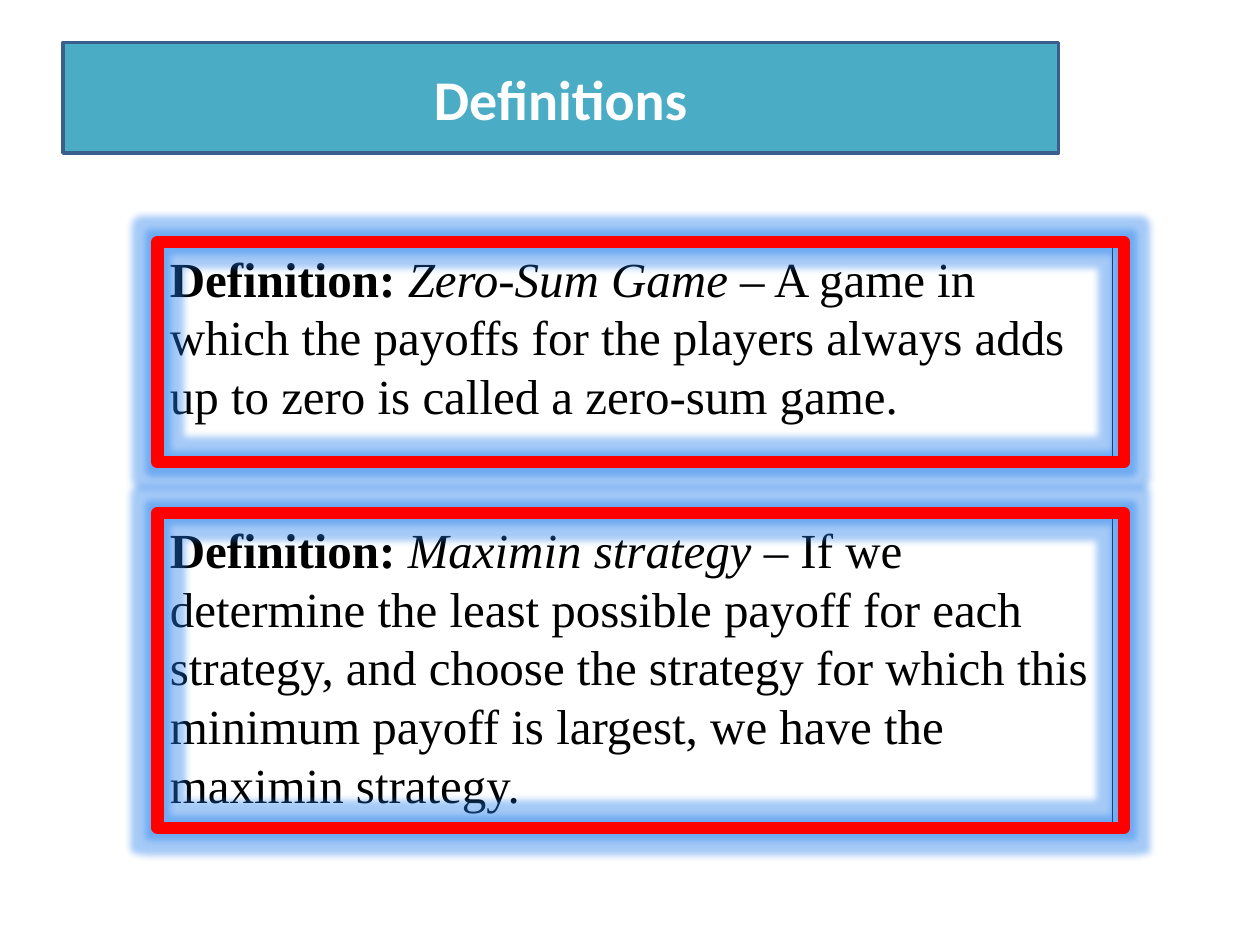
from dataclasses import dataclass

from lxml.etree import SubElement
from pptx import Presentation
from pptx.dml.color import RGBColor
from pptx.enum.shapes import MSO_SHAPE
from pptx.enum.text import MSO_ANCHOR, MSO_AUTO_SIZE, PP_ALIGN
from pptx.oxml.ns import qn
from pptx.util import Inches, Pt

WIDTH, HEIGHT = 10, 7.5
LEFT = 0.125  # shared left edge, as a share of the width
TEXT_W, FRAME_W = 0.758, 0.767


@dataclass
class Entry:
    term: str
    text: str
    top: float  # shares of the slide's height
    high: float


ENTRIES = [
    Entry("Zero-Sum Game", " – A game in which the payoffs for the players always "
          "adds up to zero is called a zero-sum game.", 0.256, 0.233),
    Entry("Maximin strategy ", "– If we determine the least possible payoff for each "
          "strategy, and choose the strategy for which this minimum payoff is "
          "largest, we have the maximin strategy.", 0.543, 0.333),
]


def color(code: str) -> RGBColor:
    return RGBColor.from_string(code)


def area(left: float, top: float, wide: float, high: float) -> tuple:
    """Turn shares of the slide into lengths."""
    return (Inches(left * WIDTH), Inches(top * HEIGHT),
            Inches(wide * WIDTH), Inches(high * HEIGHT))


def outline(shape, code: str, width: float) -> None:
    shape.line.color.rgb = color(code)
    shape.line.width = Pt(width)


def style(run, face: str, size: int, code: str) -> None:
    run.font.name, run.font.size = face, Pt(size)
    run.font.color.rgb = color(code)


def glow(shape, code: str, size: float, alpha: int) -> None:
    shape.shadow.inherit = False
    effects = shape._element.spPr.find(qn("a:effectLst"))
    halo = SubElement(effects, qn("a:glow"), rad=str(Pt(size)))
    tint = SubElement(halo, qn("a:srgbClr"), val=code)
    SubElement(tint, qn("a:alpha"), val=str(alpha * 1000))


def add_text(slide, entry: Entry) -> None:
    box = slide.shapes.add_textbox(*area(LEFT, entry.top, TEXT_W, entry.high))
    box.fill.solid()
    box.fill.fore_color.rgb = color("FFFFFF")
    outline(box, "000000", 0.75)
    frame = box.text_frame
    frame.word_wrap = True
    for text, bold, slant in (("Definition: ", True, False),
                              (entry.term, False, True),
                              (entry.text, False, False)):
        run = frame.paragraphs[0].add_run()
        run.text = text
        style(run, "Times New Roman", 28, "000000")
        run.font.bold, run.font.italic = bold, slant


def add_frame(slide, entry: Entry) -> None:
    frame = slide.shapes.add_shape(
        MSO_SHAPE.RECTANGLE, *area(LEFT, entry.top, FRAME_W, entry.high))
    frame.fill.background()
    outline(frame, "FF0000", 7)
    glow(frame, "1F7BEB", 8, 40)


def set_title(slide, text: str) -> None:
    title = slide.shapes.title
    title.left, title.top, title.width, title.height = area(0.05, 0.045, 0.79, 0.117)
    # Round the placeholder's corners
    shape = SubElement(title._element.spPr, qn("a:prstGeom"), prst="roundRect")
    SubElement(shape, qn("a:avLst"))
    title.fill.solid()
    title.fill.fore_color.rgb = color("4BACC6")
    outline(title, "3A5F8C", 2)
    frame = title.text_frame
    frame.text = text
    frame.auto_size = MSO_AUTO_SIZE.NONE
    frame.vertical_anchor = MSO_ANCHOR.MIDDLE
    line = frame.paragraphs[0]
    line.alignment = PP_ALIGN.CENTER
    style(line.runs[0], "Calibri", 32, "FFFFFF")
    line.runs[0].font.bold = True
    # Bring the title to the front
    slide.shapes._spTree.append(title._element)


def main() -> None:
    deck = Presentation()
    deck.slide_width, deck.slide_height = Inches(WIDTH), Inches(HEIGHT)
    slide = deck.slides.add_slide(deck.slide_layouts[5])
    # Texts lie below their glowing frames
    for draw in (add_text, add_frame):
        for entry in ENTRIES:
            draw(slide, entry)
    set_title(slide, "Definitions")
    deck.save("out.pptx")


if __name__ == "__main__":
    main()
